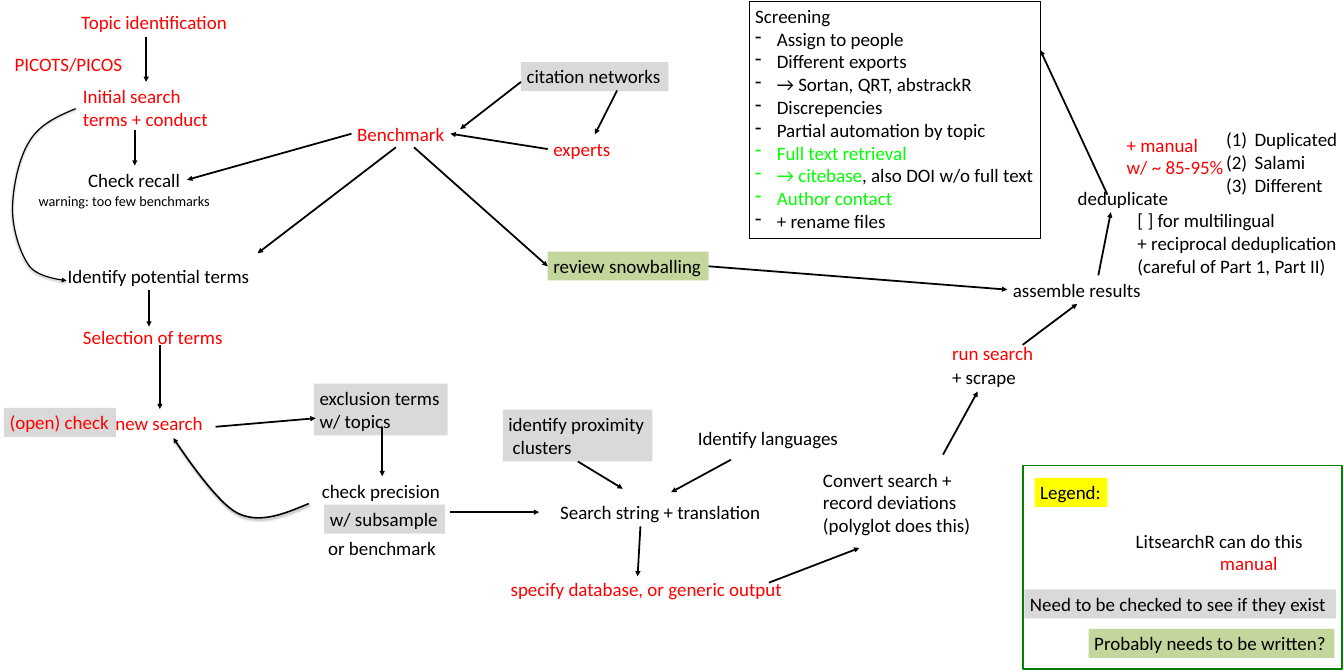
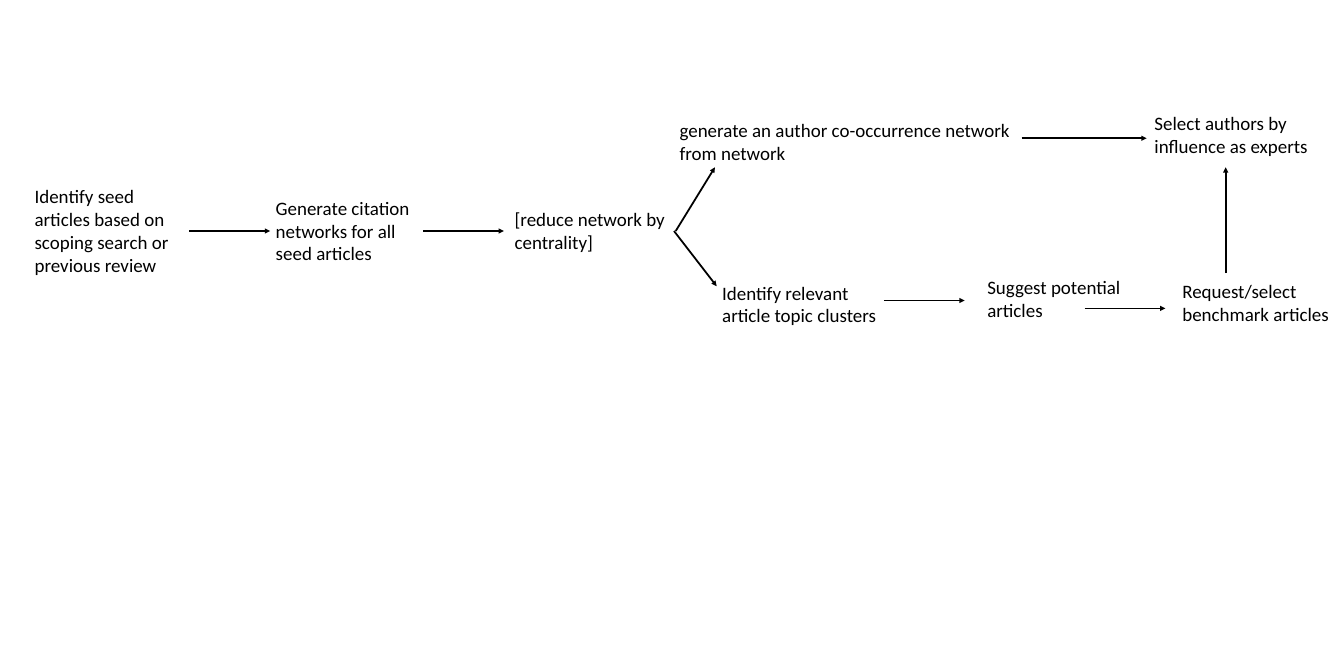
import pptx
import pptx.util
import pptx.oxml
import pptx.oxml.ns
import pptx.dml.color
import pptx.enum.text
import pptx.enum.shapes
from pptx.util import Inches

COLORS = {
    "black": "000000",
    "red": "FF0000",
    "lime": "00FF00",
    "green": "008000",
    "olive": "C3D69B",
    "gray": "D9D9D9",
    "yellow": "FFFF00",
}
FONT = "Calibri"
SIZE = 24
LINE_HEIGHT = 0.0169
BULLETS = {
    "dash": (0.38, '<a:buChar {} char="-"/>'),
    "number": (0.5, '<a:buAutoNum {} type="arabicParenBoth"/>'),
}
SHADOW = (
    '<a:effectLst {}><a:outerShdw blurRad="39370" dist="20320" dir="5400000" '
    'rotWithShape="0"><a:srgbClr val="000000"><a:alpha val="38000"/></a:srgbClr>'
    "</a:outerShdw></a:effectLst>"
)
NO_EFFECT = "<a:effectLst {}/>"
ARROWHEAD = '<a:tailEnd {} type="triangle"/>'

PROCESS_LABELS = [
    (1.33, 0.14, 2.83, ["Topic identification"], "red", None),
    (1.36, 1.44, 2.43, ["Initial search", "terms + conduct"], "red", None),
    (6.18, 2.1, 1.75, ["Benchmark"], "red", None),
    (9.63, 2.36, 1.22, ["experts"], "red", None),
    (0.16, 0.88, 2.13, ["PICOTS/PICOS"], "red", None),
    (9.63, 4.42, 2.83, ["review snowballing"], "black", "olive"),
    (9.16, 1.09, 2.59, ["citation networks"], "black", "gray"),
    (0.07, 7.17, 1.97, ["(open) check"], "red", "gray"),
    (1.93, 7.19, 1.76, ["new search"], "red", None),
    (5.52, 6.74, 2.35, ["exclusion terms", "w/ topics"], "black", "gray"),
    (5.56, 8.37, 2.3, ["check precision"], "black", None),
    (5.7, 8.87, 2.12, ["w/ subsample"], "black", "gray"),
    (5.67, 9.38, 2.11, ["or benchmark"], "black", None),
    (1.45, 2.91, 1.84, ["Check recall"], "black", None),
    (1.09, 4.6, 3.44, ["Identify potential terms"], "black", None),
    (1.36, 5.67, 2.68, ["Selection of terms"], "red", None),
    (9.75, 8.75, 3.77, ["Search string + translation"], "black", None),
    (12.17, 7.44, 2.7, ["Identify languages"], "black", None),
    (8.88, 10.1, 5.03, ["specify database, or generic output"], "red", None),
    (14.37, 8.18, 2.82,
     ["Convert search +", "record deviations", "(polyglot does this)"], "black", None),
    (8.84, 7.2, 2.63, ["identify proximity", " clusters"], "black", "gray"),
    (16.64, 5.95, 1.65, ["run search"], "red", None),
    (16.64, 6.37, 1.34, ["+ scrape"], "black", None),
    (17.71, 4.84, 2.48, ["assemble results"], "black", None),
    (19.9, 3.62, 3.75,
     ["[ ] for multilingual", "+ reciprocal deduplication",
      "(careful of Part 1, Part II)"], "black", None),
    (18.85, 3.23, 1.82, ["deduplicate"], "black", None),
    (19.71, 2.29, 1.92, ["+ manual", "w/ ~ 85-95%"], "red", None),
]

LEGEND_LABELS = [
    (18.19, 8.4, 1.28, ["Legend:"], "black", "yellow"),
    (19.87, 9.25, 3.17, ["LitsearchR can do this"], "black", None),
    (21.35, 9.64, 1.22, ["manual"], "red", None),
    (18.01, 10.36, 5.48, ["Need to be checked to see if they exist"], "black", "gray"),
    (19.14, 11.05, 4.32, ["Probably needs to be written?"], "black", "olive"),
]

SCREENING_TASKS = [
    "Assign to people",
    "Different exports",
    "→ Sortan, QRT, abstrackR",
    "Discrepencies",
    "Partial automation by topic",
    [("Full text retrieval", "lime")],
    [("→ citebase", "lime"), (", also DOI w/o full text", "black")],
    [("Author contact", "lime")],
    "+ rename files",
]

PROCESS_ARROWS = [
    (7.28, 2.59, 9.63, 4.68),
    (9.16, 1.44, 8.09, 2.27),
    (9.63, 2.62, 7.92, 2.35),
    (6.96, 2.59, 4.53, 4.45),
    (6.18, 2.35, 3.29, 3.16),
    (2.37, 2.29, 2.37, 2.91),
    (2.62, 5.09, 2.62, 5.74),
    (2.81, 6.06, 2.81, 7.19),
    (3.79, 7.5, 5.55, 7.35),
    (6.72, 7.5, 6.72, 8.37),
    (10.85, 1.59, 10.46, 2.36),
    (2.57, 0.65, 2.57, 1.44),
    (7.92, 9, 9.48, 9),
    (12.85, 8.08, 11.8, 8.65),
    (11.26, 9.25, 11.21, 10.13),
    (13.52, 10.24, 15.11, 9.63),
    (10.16, 8.11, 10.95, 8.59),
    (16.58, 7.99, 17.19, 6.88),
    (19.31, 4.84, 19.53, 3.73),
    (17.98, 6.06, 18.94, 5.34),
    (19.47, 3.42, 18.29, 0.88),
    (12.46, 4.68, 17.71, 5.09),
]

RETURN_CURVE = [(5.43, 8.85), (5, 9.03), (4.57, 9.21), (4.18, 9.02),
                (3.78, 8.83), (3.05, 7.7), (3.05, 7.7)]
SKIP_CURVE = [(1.33, 1.91), (1.02, 2.04), (0.7, 2.18), (0.52, 2.48),
              (0.33, 2.77), (0.22, 3.31), (0.22, 3.68),
              (0.22, 4.04), (0.36, 4.47), (0.52, 4.68),
              (0.68, 4.89), (1.17, 4.93), (1.17, 4.93)]

NETWORK_LABELS = [
    (0.51, 3.2, 2.93, 4, "Identify seed articles based on scoping search or previous review"),
    (4.75, 3.4, 2.93, 3, "Generate citation networks for all seed articles"),
    (8.95, 3.6, 2.93, 2, "[reduce network by centrality]"),
    (11.85, 2.04, 6.48, 2, "generate an author co-occurrence network from network"),
    (12.6, 4.89, 2.93, 2, "Identify relevant article topic clusters"),
    (17.26, 4.8, 2.93, 2, "Suggest potential articles"),
    (20.69, 4.87, 2.93, 2, "Request/select benchmark articles"),
    (20.2, 1.91, 2.93, 2, "Select authors by influence as experts"),
]

NETWORK_ARROWS = [
    (3.33, 4.06, 4.75, 4.06),
    (21.55, 4.8, 21.55, 2.94),
    (7.44, 4.06, 8.86, 4.06),
    (11.88, 4.06, 12.57, 2.94),
    (11.85, 4.06, 12.6, 5.03),
    (15.54, 5.28, 16.96, 5.28),
    (19.07, 5.42, 20.49, 5.42),
    (17.96, 2.43, 20.16, 2.43),
]


def rgb(name):
    return pptx.dml.color.RGBColor.from_string(COLORS[name])


def xml(template):
    return pptx.oxml.parse_xml(template.format(pptx.oxml.ns.nsdecls("a")))


def set_all(target, values):
    for name, value in values.items():
        setattr(target, name, value)


def set_line(shape, color, width):
    shape.line.color.rgb = rgb(color)
    shape.line.width = pptx.util.Pt(width)


def set_bullet(p, kind):
    indent, mark = BULLETS[kind]
    pPr = p._p.get_or_add_pPr()
    pPr.set("marL", str(Inches(indent)))
    pPr.set("indent", str(-Inches(indent)))
    pPr.append(xml(mark))


def add_text(s, left, top, width, lines, color="black", fill=None,
             size=SIZE, rows=None, bullet=None, plain_rows=0):
    height = round((rows or len(lines)) * size * LINE_HEIGHT + 0.1, 2)
    box = s.shapes.add_textbox(Inches(left), Inches(top), Inches(width), Inches(height))
    if fill:
        box.fill.solid()
        box.fill.fore_color.rgb = rgb(fill)
    tf = box.text_frame
    set_all(tf, {
        "word_wrap": rows is not None,
        "auto_size": pptx.enum.text.MSO_AUTO_SIZE.SHAPE_TO_FIT_TEXT,
    })
    for i, line in enumerate(lines):
        p = tf.add_paragraph() if i else tf.paragraphs[0]
        if bullet and i >= plain_rows:
            set_bullet(p, bullet)
        for text, tone in [(line, color)] if isinstance(line, str) else line:
            r = p.add_run()
            r.text = text
            set_all(r.font, {"name": FONT, "size": pptx.util.Pt(size)})
            r.font.color.rgb = rgb(tone)
    return box


def add_arrow(s, *ends):
    line = s.shapes.add_connector(
        pptx.enum.shapes.MSO_CONNECTOR.STRAIGHT, *[Inches(v) for v in ends])
    set_line(line, "black", 2.25)
    line.line._get_or_add_ln().append(xml(ARROWHEAD))
    line._element.spPr.append(xml(NO_EFFECT))


def bezier(points, steps=16):
    curve = [points[0]]
    for i in range(0, len(points) - 1, 3):
        corners = points[i:i + 4]
        for step in range(1, steps + 1):
            t = step / steps
            weights = ((1 - t) ** 3, 3 * t * (1 - t) ** 2, 3 * t * t * (1 - t), t ** 3)
            curve.append(tuple(sum(w * c[axis] for w, c in zip(weights, corners))
                               for axis in (0, 1)))
    return curve


def add_curve(s, points, width):
    start, *rest = [(Inches(x), Inches(y)) for x, y in bezier(points)]
    builder = s.shapes.build_freeform(*start)
    builder.add_line_segments(rest, close=False)
    curve = builder.convert_to_shape()
    curve.fill.background()
    set_line(curve, "black", width)
    curve.line._get_or_add_ln().append(xml(ARROWHEAD))
    curve._element.spPr.append(xml(SHADOW))


def add_frame(s, left, top, width, height):
    frame = s.shapes.add_shape(
        pptx.enum.shapes.MSO_SHAPE.RECTANGLE,
        Inches(left), Inches(top), Inches(width), Inches(height))
    frame.shadow.inherit = False
    frame.fill.background()
    set_line(frame, "green", 2.25)


def build_process(s):
    for label in PROCESS_LABELS + LEGEND_LABELS:
        add_text(s, *label)
    add_text(s, 0.58, 3.33, 3.26, ["warning: too few benchmarks"], size=18)
    add_text(s, 21.46, 2.2, 2.17, ["Duplicated", "Salami", "Different"], bullet="number")
    screening = add_text(s, 13.18, 0.03, 5.11, ["Screening"] + SCREENING_TASKS,
                         bullet="dash", plain_rows=1)
    set_line(screening, "black", 0.75)
    add_frame(s, 17.98, 8.18, 5.62, 3.58)
    for ends in PROCESS_ARROWS:
        add_arrow(s, *ends)
    add_curve(s, RETURN_CURVE, 2)
    add_curve(s, SKIP_CURVE, 1.5)


def build_network(s):
    for left, top, width, rows, text in NETWORK_LABELS:
        add_text(s, left, top, width, [text], rows=rows)
    for ends in NETWORK_ARROWS:
        add_arrow(s, *ends)


def main():
    prs = pptx.Presentation()
    set_all(prs, {"slide_width": Inches(23.63), "slide_height": Inches(11.81)})
    for build in (build_process, build_network):
        build(prs.slides.add_slide(prs.slide_layouts[6]))
    prs.save("out.pptx")


if __name__ == "__main__":
    main()
